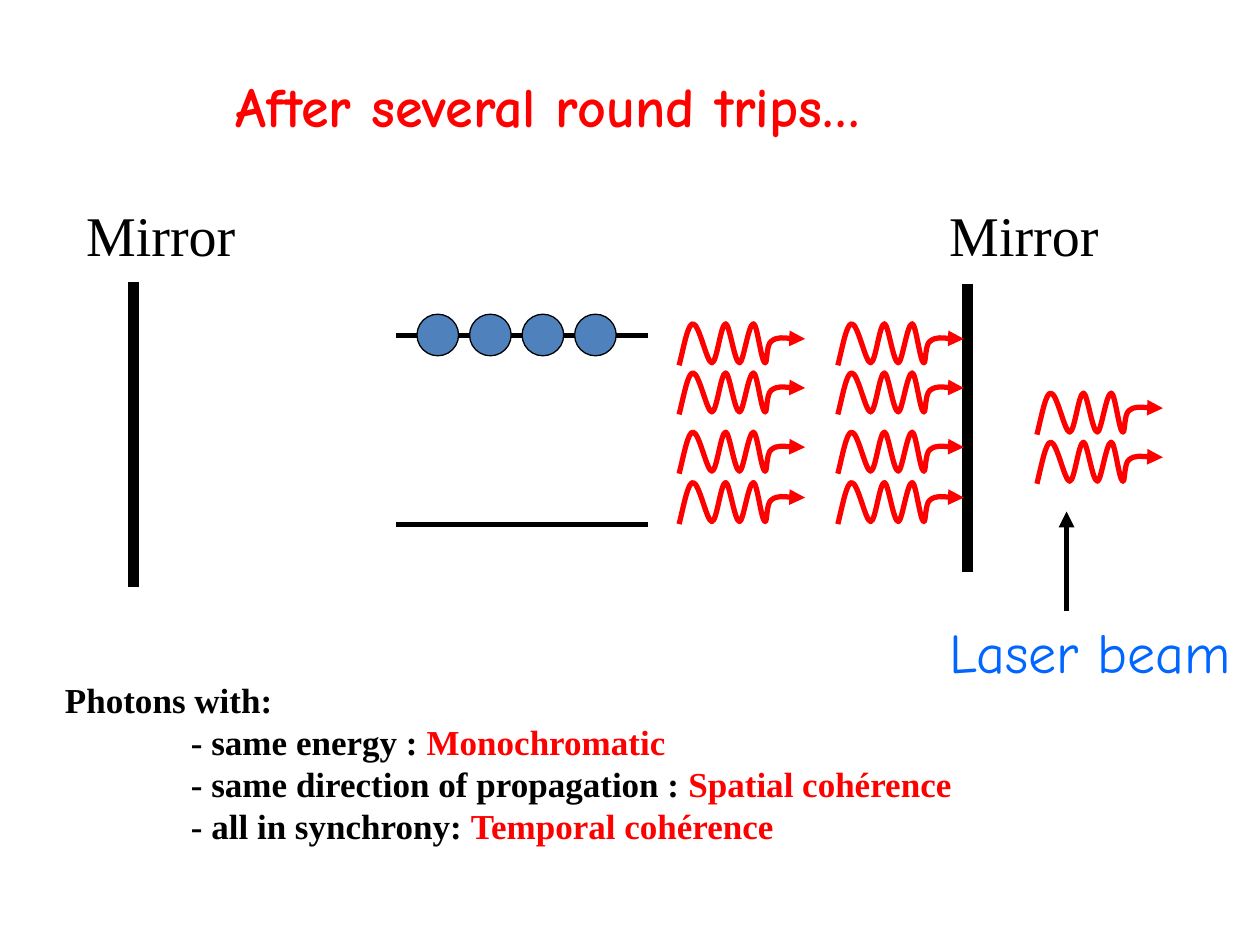
from itertools import product

from lxml import etree
from pptx import Presentation
from pptx.dml.color import RGBColor
from pptx.enum.shapes import MSO_CONNECTOR, MSO_SHAPE
from pptx.enum.text import MSO_AUTO_SIZE
from pptx.oxml.ns import qn
from pptx.util import Inches, Pt

OVAL = MSO_SHAPE.OVAL
STRAIGHT = MSO_CONNECTOR.STRAIGHT
FIT = MSO_AUTO_SIZE.SHAPE_TO_FIT_TEXT
COLORS = {"black": "000000", "red": "FF0000", "blue": "0066FF", "ball": "4F81BD"}
SERIF = "Times New Roman"
COMIC = "Comic Neue"
COLS, ROWS = 100, 75
CELL = Inches(0.1)
TAB = 10
WAVE = [
    (0, 33), (4, 17), (7, 0), (11, 0), (16, 0), (22, 31), (26, 31),
    (30, 31), (33, 0), (37, 0), (40, 0), (44, 31), (48, 31),
    (51, 31), (55, 0), (59, 0), (62, 0), (65, 29), (68, 31),
    (70, 33), (69, 17), (73, 14), (78, 10), (90, 12), (95, 12),
    (97, 12), (99, 12), (100, 12),
]


def grid(*cells):
    return [round(cell * CELL) for cell in cells]


def color(name):
    return RGBColor.from_string(COLORS[name])


def stroke(shape, name, width, arrow=False):
    shape.line.color.rgb = color(name)
    shape.line.width = Pt(width)
    if arrow:
        line = shape._element.spPr.find(qn("a:ln"))
        etree.SubElement(line, qn("a:tailEnd"), type="triangle")


def add_line(slide, start, end, width, arrow=False):
    line = slide.shapes.add_connector(STRAIGHT, *grid(*start, *end))
    stroke(line, "black", width, arrow)
    etree.SubElement(line._element.spPr, qn("a:effectLst"))


def add_ball(slide, left, top, size):
    ball = slide.shapes.add_shape(OVAL, *grid(left, top, size, size))
    ball.shadow.inherit = False
    ball.fill.solid()
    ball.fill.fore_color.rgb = color("ball")
    stroke(ball, "black", 0.75)


def add_wave(slide, left, top):
    form = slide.shapes.build_freeform(*WAVE[0], scale=Inches(0.01))
    form.add_line_segments(WAVE[1:], close=False)
    wave = form.convert_to_shape(*grid(left, top))
    wave.shadow.inherit = False
    wave.fill.background()
    stroke(wave, "red", 3, arrow=True)
    steps = list(wave._element.iter(qn("a:lnTo")))
    for first in range(0, len(steps), 3):
        trio = steps[first:first + 3]
        curve = etree.SubElement(trio[0].getparent(), qn("a:cubicBezTo"))
        for step in trio:
            curve.append(step[0])
            step.getparent().remove(step)


def add_tab(para, cells):
    stops = etree.SubElement(para._p.get_or_add_pPr(), qn("a:tabLst"))
    etree.SubElement(stops, qn("a:tab"), pos=str(*grid(cells)), algn="l")


def add_text(slide, box, lines, wrap=False, tab=None, **style):
    frame = slide.shapes.add_textbox(*grid(*box)).text_frame
    frame.word_wrap = wrap
    frame.auto_size = FIT
    for index, runs in enumerate(lines):
        para = frame.add_paragraph() if index else frame.paragraphs[0]
        if tab:
            add_tab(para, tab)
        for text, name in runs:
            run = para.add_run()
            run.text = text
            for key, value in style.items():
                setattr(run.font, key, value)
            run.font.color.rgb = color(name)


def main():
    deck = Presentation()
    deck.slide_width, deck.slide_height = grid(COLS, ROWS)
    slide = deck.slides.add_slide(deck.slide_layouts[6])

    for col, top, end in ((10.6, 22.4, 46.6), (76.8, 22.5, 45.4)):
        add_line(slide, (col, top), (col, end), 6)
    for row in (26.6, 41.6):
        add_line(slide, (31.4, row), (51.4, row), 3)
    for index in range(4):
        add_ball(slide, 33.1 + 4.17 * index, 24.94, 3.3)
    for col, row in product((53.9, 66.5), (25.7, 29.6, 34.3, 38.3)):
        add_wave(slide, col, row)
    for row in (31.2, 35.1):
        add_wave(slide, 82.3, row)
    add_line(slide, (84.65, 48.5), (84.65, 40.6), 3, arrow=True)

    large = {"size": Pt(32), "name": SERIF}
    for col in (5.85, 74.35):
        add_text(slide, (col, 15.45, 13.9, 6.3), [[("Mirror", "black")]], **large)
    large["name"] = COMIC
    add_text(slide, (17.7, 5.2, 59.9, 6.3),
             [[("After several round trips…", "red")]], bold=True, **large)
    add_text(slide, (74.4, 48.5, 25.6, 6.3), [[("Laser beam", "blue")]], **large)

    facts = [
        ("same energy : ", "Monochromatic"),
        ("same direction of propagation : ", "Spatial cohérence"),
        ("all in synchrony: ", "Temporal cohérence"),
    ]
    lines = [[("Photons with:", "black")]]
    lines += [[(f"\t- {fact}", "black"), (term, "red")] for fact, term in facts]
    add_text(slide, (4.17, 53.35, 88.1, 14.5), lines, wrap=True, tab=TAB,
             size=Pt(20), name=SERIF, bold=True)

    deck.save("out.pptx")


if __name__ == "__main__":
    main()
